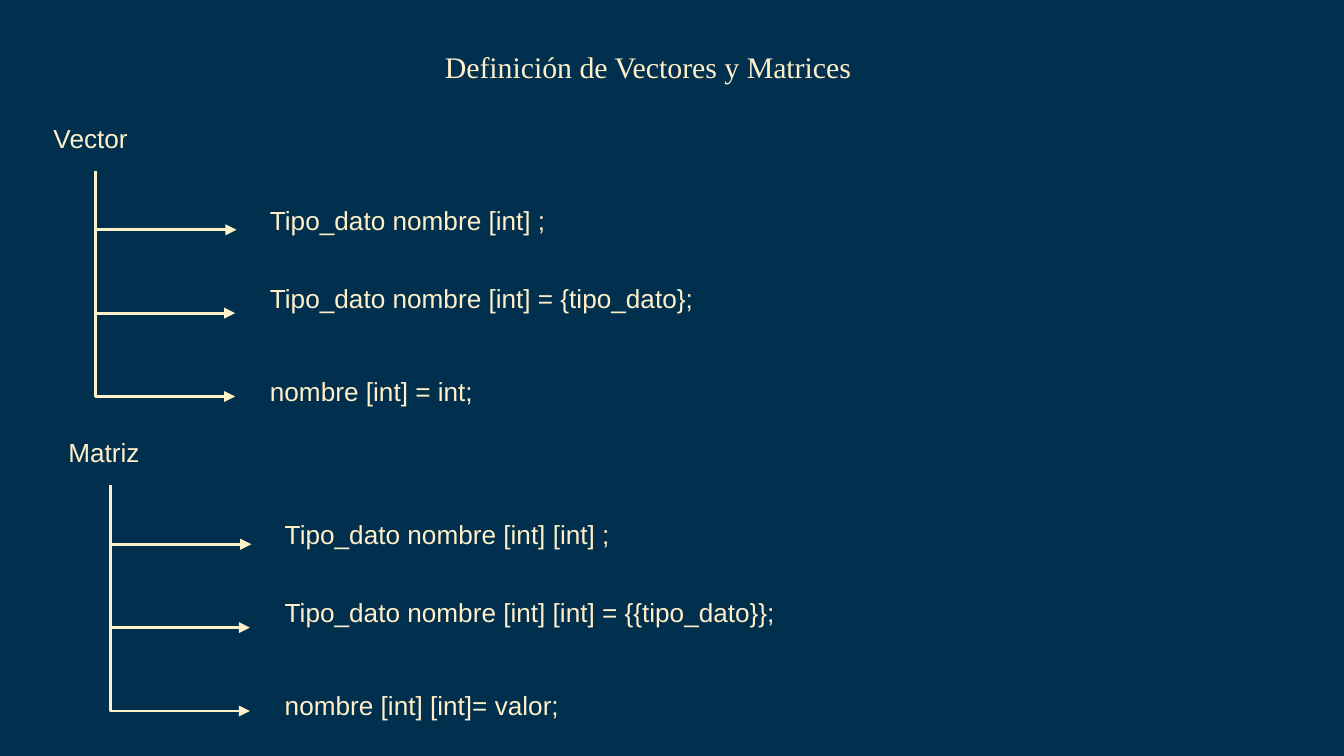
from pptx import Presentation
from pptx.dml.color import RGBColor
from pptx.enum.shapes import MSO_CONNECTOR as Conn
from pptx.enum.text import MSO_ANCHOR as Anchor, MSO_AUTO_SIZE as AutoSize, PP_ALIGN as Align
from pptx.oxml.ns import qn
from pptx.util import Inches, Pt
from lxml.etree import SubElement

NAVY, CREAM = "00304E", "FFF0C9"
SLIDE_W = 10
ROW_H = 0.47


def color(value):
    return RGBColor.from_string(value)


def apply(obj, fmt):
    for name, value in fmt.items():
        setattr(obj, name, value)


def write(sp, text, font, size):
    tf = sp.text_frame
    inset = Inches(0.1)
    apply(tf, {
        "word_wrap": True, "auto_size": AutoSize.NONE, "vertical_anchor": Anchor.TOP,
        "margin_left": inset, "margin_right": inset,
        "margin_top": inset, "margin_bottom": inset,
    })
    p = tf.paragraphs[0]
    p.alignment = Align.LEFT
    r = p.add_run()
    r.text = text
    apply(r.font, {"name": font, "size": Pt(size)})
    r.font.color.rgb = color(CREAM)


def add_label(s, text, x, y, w):
    sp = s.shapes.add_textbox(Inches(x), Inches(y), Inches(w), Inches(ROW_H))
    write(sp, text, "Arial", 14)


def add_arrow(s, x1, y1, x2, y2, bend):
    cx = s.shapes.add_connector(Conn.ELBOW, Inches(x1), Inches(y1), Inches(x2), Inches(y2))
    cx.line.color.rgb = color(CREAM)
    cx.line.width = Pt(1.5)
    sp_pr = cx._element.spPr
    SubElement(sp_pr.find(qn("a:ln")), qn("a:tailEnd"), type="triangle")
    SubElement(sp_pr, qn("a:effectLst"))
    guides = sp_pr.find(qn("a:prstGeom")).find(qn("a:avLst"))
    SubElement(guides, qn("a:gd"), name="adj1", fmla=f"val {bend}")


def add_title(s, text, x, y, w, h):
    sp = s.shapes.title
    apply(sp, {"left": Inches(x), "top": Inches(y), "width": Inches(w), "height": Inches(h)})
    write(sp, text, "Times New Roman", 16)


def add_branch(s, x, y, name, forms):
    add_label(s, name, x, y, 0.83)
    add_arrow(s, x + 0.41, y + 0.46, x + 1.46, y + 0.9, 0)
    for i in range(2):
        top = y + 0.9 + 0.62 * i
        add_arrow(s, x + 0.42, top, x + 1.45, top + 0.62, -1000)
    for (text, w), dy in zip(forms, (0.61, 1.19, 1.88)):
        add_label(s, text, x + 1.61, y + dy, w)


def main():
    prs = Presentation()
    apply(prs, {"slide_width": Inches(SLIDE_W), "slide_height": Inches(SLIDE_W * 9 / 16)})
    s = prs.slides.add_slide(prs.slide_layouts[5])
    fill = s.background.fill
    fill.solid()
    fill.fore_color.rgb = color(NAVY)

    add_title(s, "Definición de Vectores y Matrices", 3.21, 0.26, 3.29, ROW_H)
    add_branch(s, 0.3, 0.81, "Vector", [
        ("Tipo_dato nombre [int] ;", 3.51),
        ("Tipo_dato nombre [int] = {tipo_dato};", 3.51),
        ("nombre [int] = int;", 3.51),
    ])
    add_branch(s, 0.41, 3.15, "Matriz", [
        ("Tipo_dato nombre [int] [int] ;", 3.51),
        ("Tipo_dato nombre [int] [int] = {{tipo_dato}};", 4.17),
        ("nombre [int] [int]= valor;", 3.51),
    ])
    prs.save("out.pptx")


if __name__ == "__main__":
    main()
